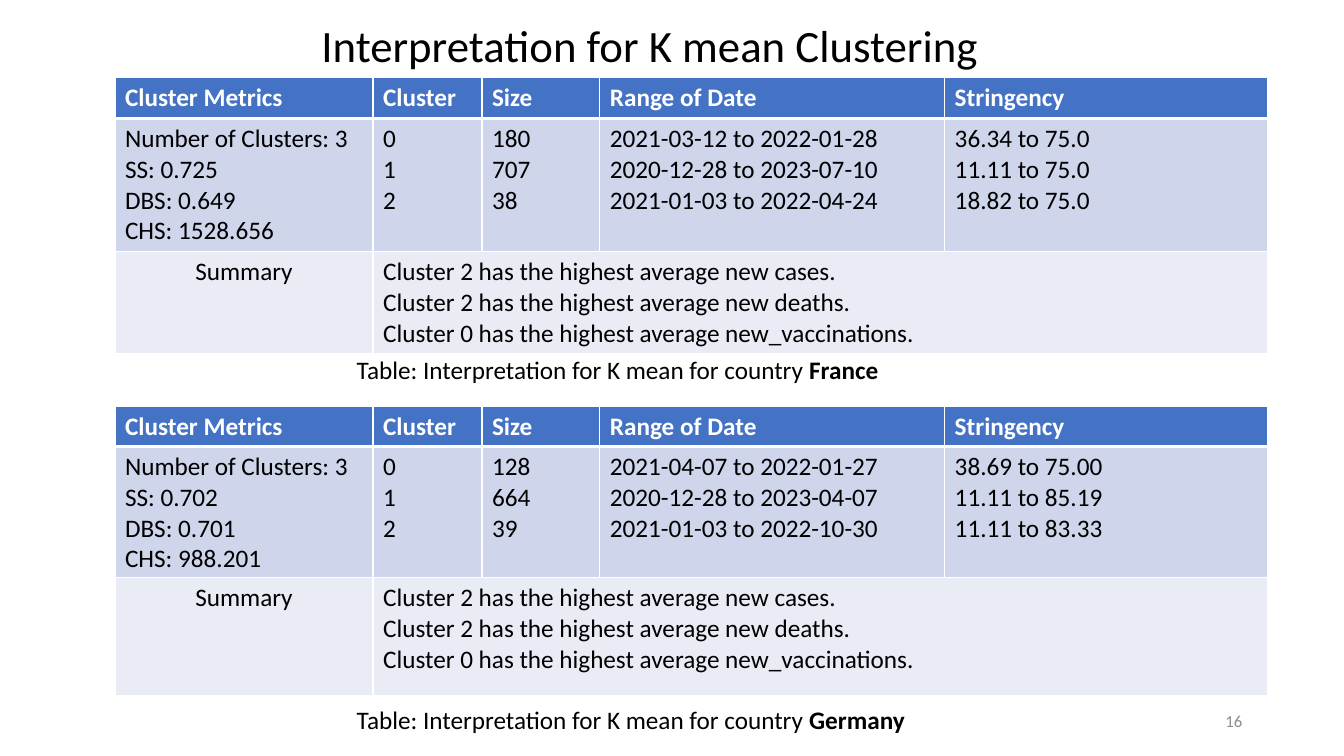
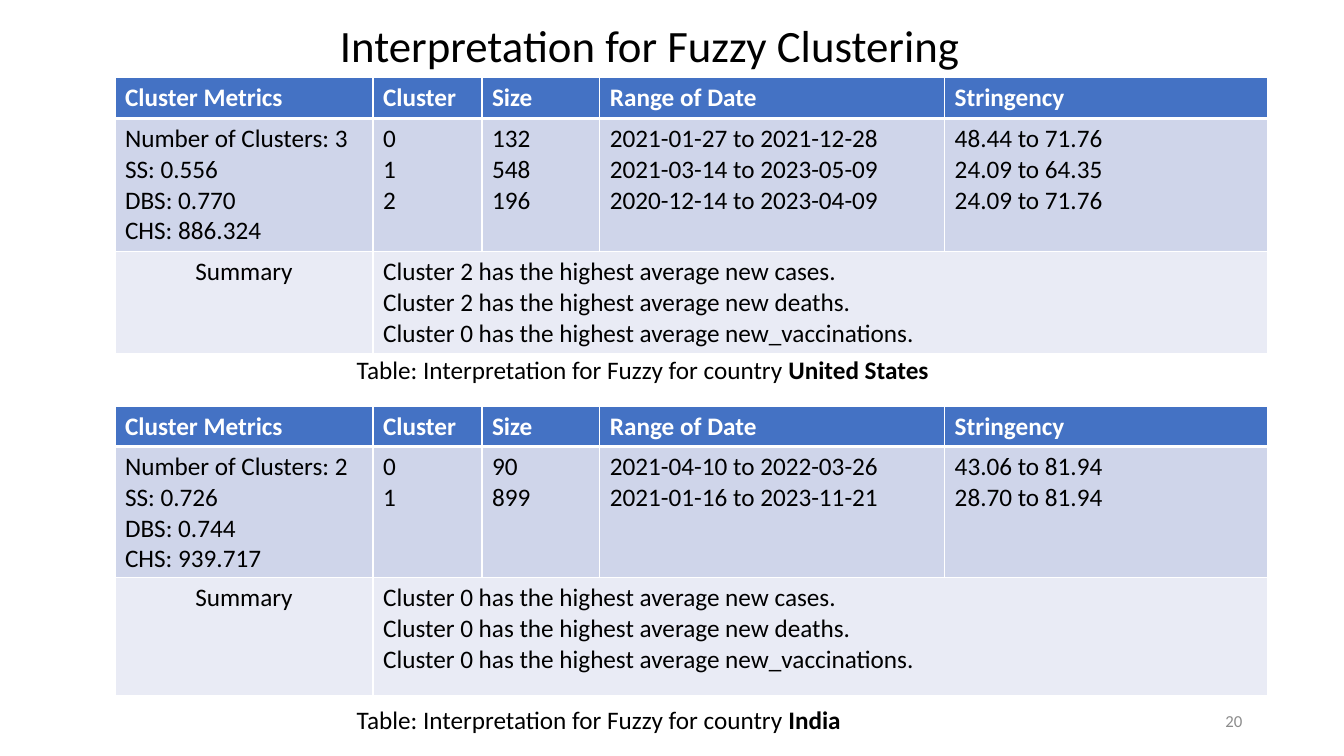
"""Two slides of clustering results by country."""
from pptx import Presentation, util as u
from pptx.dml.color import RGBColor
from pptx.enum import text
from pptx.oxml import parse_xml
from pptx.oxml.ns import nsdecls

WHITE = RGBColor(0xFF, 0xFF, 0xFF)
BLACK = RGBColor(0, 0, 0)
GREY = RGBColor(0x8C, 0x8C, 0x8C)
BLUE = RGBColor(0x44, 0x72, 0xC4)
BAND = RGBColor(0xCF, 0xD5, 0xEA)
PALE = RGBColor(0xE9, 0xEB, 0xF5)
FONT = "Calibri"

HEADS = ["Cluster Metrics", "Cluster", "Size", "Range of Date", "Stringency"]
TOPICS = ["new cases", "new deaths", "new_vaccinations"]
COLS = [2.56, 1.08, 1.17, 3.42, 3.2]
SPOTS = [
    {"top": 0.77, "rows": [0.4, 1.32, 1.01], "note": 3.47},
    {"top": 4.03, "rows": [0.4, 1.3, 1.17], "note": 6.94},
]

SLIDES = [
    {"method": "K mean", "page": 16, "tables": [
        {"land": "France", "scores": ("0.725", "0.649", "1528.656"),
         "groups": [("180", "2021-03-12 to 2022-01-28", "36.34 to 75.0"),
                    ("707", "2020-12-28 to 2023-07-10", "11.11 to 75.0"),
                    ("38", "2021-01-03 to 2022-04-24", "18.82 to 75.0")],
         "peaks": (2, 2, 0)},
        {"land": "Germany", "scores": ("0.702", "0.701", "988.201"),
         "groups": [("128", "2021-04-07 to 2022-01-27", "38.69 to 75.00"),
                    ("664", "2020-12-28 to 2023-04-07", "11.11 to 85.19"),
                    ("39", "2021-01-03 to 2022-10-30", "11.11 to 83.33")],
         "peaks": (2, 2, 0)}]},
    {"method": "Fuzzy", "page": 20, "tables": [
        {"land": "United States", "scores": ("0.556", "0.770", "886.324"),
         "groups": [("132", "2021-01-27 to 2021-12-28", "48.44 to 71.76"),
                    ("548", "2021-03-14 to 2023-05-09", "24.09 to 64.35"),
                    ("196", "2020-12-14 to 2023-04-09", "24.09 to 71.76")],
         "peaks": (2, 2, 0)},
        {"land": "India", "scores": ("0.726", "0.744", "939.717"),
         "groups": [("90", "2021-04-10 to 2022-03-26", "43.06 to 81.94"),
                    ("899", "2021-01-16 to 2023-11-21", "28.70 to 81.94")],
         "peaks": (0, 0, 0)}]},
]


def style(par, size, color, bold=False, align=text.PP_ALIGN.LEFT):
    par.alignment = align
    font = par.font
    font.name, font.size, font.bold = FONT, u.Pt(size), bold
    font.color.rgb = color


def place(shape, *box):
    shape.left, shape.top, shape.width, shape.height = map(u.Inches, box)


def add_box(slide, *box):
    frame = slide.shapes.add_textbox(*map(u.Inches, box)).text_frame
    frame.word_wrap = True
    return frame


def edge(cell, row):
    props = cell._tc.get_or_add_tcPr()
    wide = {"T": 3 if row == 1 else 1, "B": 3 if row == 0 else 1}
    for side in "LRTB":
        props.append(parse_xml(
            f'<a:ln{side} {nsdecls("a")} w="{u.Pt(wide.get(side, 1))}">'
            f'<a:solidFill><a:srgbClr val="{WHITE}"/></a:solidFill></a:ln{side}>'))


def get_rows(data):
    groups = data["groups"]
    names = ("SS", "DBS", "CHS")
    stats = [f"Number of Clusters: {len(groups)}"]
    stats += [f"{name}: {score}" for name, score in zip(names, data["scores"])]
    ids = [str(i) for i in range(len(groups))]
    lines = [f"Cluster {peak} has the highest average {topic}."
             for peak, topic in zip(data["peaks"], TOPICS)]
    return [[[head] for head in HEADS],
            [stats, ids, *zip(*groups)],
            [["Summary"], lines, [], [], []]]


def add_grid(slide, data, spot):
    grid = slide.shapes.add_table(
        len(spot["rows"]), len(COLS), u.Inches(1.14), u.Inches(spot["top"]),
        u.Inches(sum(COLS)), u.Inches(sum(spot["rows"]))).table
    for col, width in zip(grid.columns, COLS):
        col.width = u.Inches(width)
    for row, height in zip(grid.rows, spot["rows"]):
        row.height = u.Inches(height)
    grid.cell(2, 1).merge(grid.cell(2, 4))
    for r, row in enumerate(get_rows(data)):
        for c, lines in enumerate(row):
            cell = grid.cell(r, c)
            edge(cell, r)
            cell.fill.solid()
            cell.fill.fore_color.rgb = (BLUE, BAND, PALE)[r]
            if not lines:
                continue
            cell.text_frame.text = "\n".join(lines)
            mid = (r, c) == (2, 0)
            for par in cell.text_frame.paragraphs:
                style(par, 18, BLACK if r else WHITE, r == 0,
                      text.PP_ALIGN.CENTER if mid else text.PP_ALIGN.LEFT)


def add_note(slide, method, land, top):
    par = add_box(slide, 3.44, top, 6, 0.4).paragraphs[0]
    style(par, 18, BLACK)
    par.add_run().text = f"Table: Interpretation for {method} for country "
    run = par.add_run()
    run.text = land
    run.font.bold = True


def add_slide(deck, data):
    slide = deck.slides.add_slide(deck.slide_layouts[5])
    title = slide.shapes.title
    place(title, 0.15, 0, 12.59, 0.77)
    frame = title.text_frame
    frame.text = f"Interpretation for {data['method']} Clustering"
    frame.vertical_anchor = text.MSO_ANCHOR.BOTTOM
    style(frame.paragraphs[0], 32, BLACK, align=text.PP_ALIGN.CENTER)
    frame.paragraphs[0].line_spacing = 0.9
    for item, spot in zip(data["tables"], SPOTS):
        add_grid(slide, item, spot)
        add_note(slide, data["method"], item["land"], spot["note"])
    page = add_box(slide, 9.42, 6.95, 3, 0.4)
    page.text = str(data["page"])
    page.vertical_anchor = text.MSO_ANCHOR.MIDDLE
    style(page.paragraphs[0], 12, GREY, align=text.PP_ALIGN.RIGHT)


def main():
    deck = Presentation()
    deck.slide_width, deck.slide_height = u.Inches(13.33), u.Inches(7.5)
    for data in SLIDES:
        add_slide(deck, data)
    deck.save("out.pptx")


if __name__ == "__main__":
    main()
